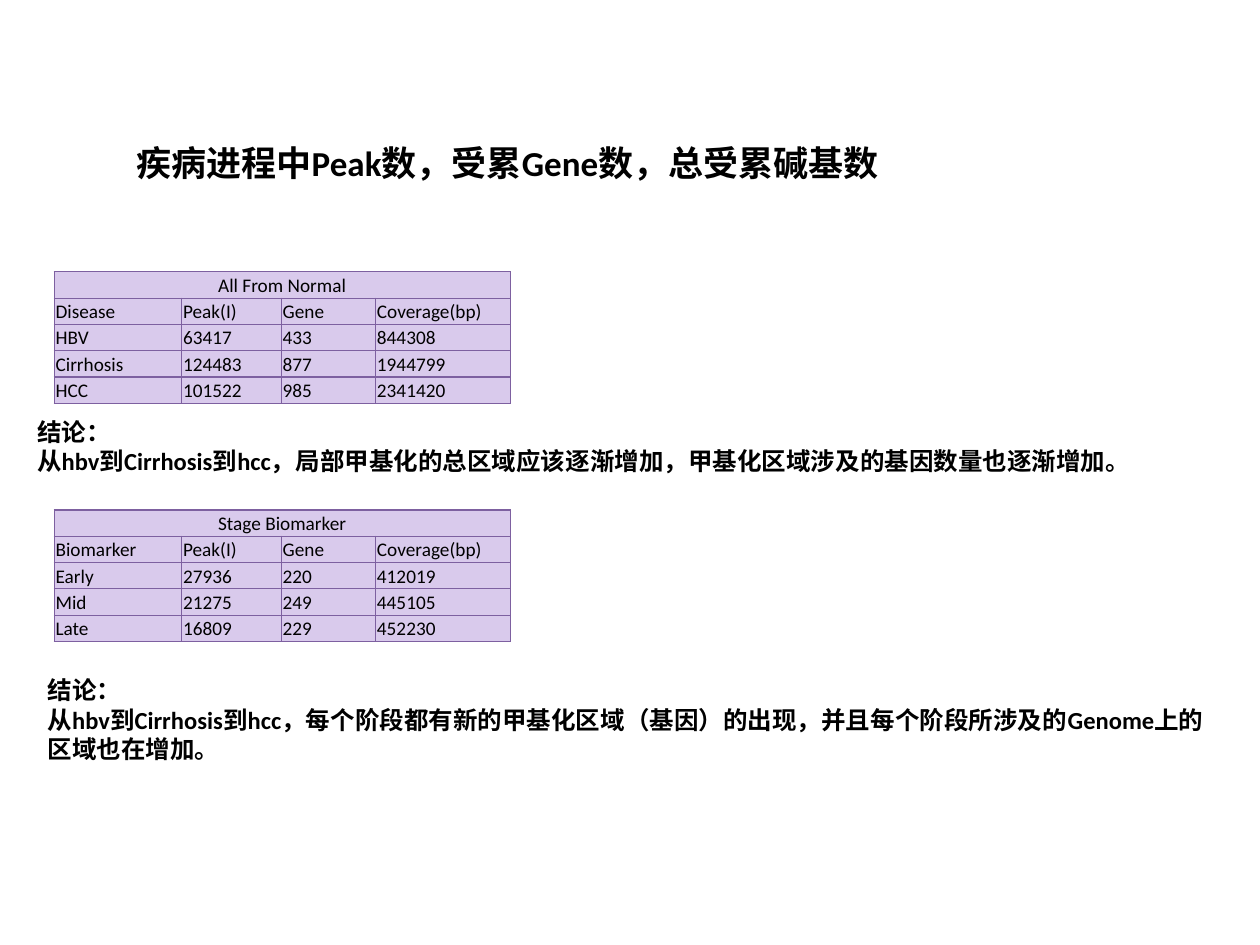
"""Build a slide of peak, gene and coverage counts across disease progression."""
from lxml import etree
from pptx import Presentation
from pptx.dml.color import RGBColor
from pptx.enum import text
from pptx.oxml import ns
from pptx.util import Cm, Pt

BLACK = RGBColor(0x00, 0x00, 0x00)
LAVENDER = RGBColor(0xD9, 0xCA, 0xEC)
PURPLE = RGBColor(0x7D, 0x60, 0xA0)

COLUMN_WIDTHS = [2.57, 2.01, 1.9, 2.72]
ROW_HEIGHT = 0.53
MEASURES = ["Peak(I)", "Gene", "Coverage(bp)"]

TABLES = [
    (5.48, [
        ["All From Normal", "", "", ""],
        ["Disease", *MEASURES],
        ["HBV", "63417", "433", "844308"],
        ["Cirrhosis", "124483", "877", "1944799"],
        ["HCC", "101522", "985", "2341420"],
    ]),
    (10.28, [
        ["Stage Biomarker", "", "", ""],
        ["Biomarker", *MEASURES],
        ["Early", "27936", "220", "412019"],
        ["Mid", "21275", "249", "445105"],
        ["Late", "16809", "229", "452230"],
    ]),
]

TEXTS = [
    (0.71, 13.49, 23.9, 2.64, 14, [
        "结论：",
        "从hbv到Cirrhosis到hcc，每个阶段都有新的甲基化区域（基因）的出现，"
        "并且每个阶段所涉及的Genome上的区域也在增加。",
    ]),
    (0.5, 8.28, 24.4, 1.45, 14, [
        "结论：",
        "从hbv到Cirrhosis到hcc，局部甲基化的总区域应该逐渐增加，"
        "甲基化区域涉及的基因数量也逐渐增加。",
    ]),
    (2.5, 2.72, 23.9, 1.12, 20, ["疾病进程中Peak数，受累Gene数，总受累碱基数"]),
]


def set_font(paragraph, size, bold):
    paragraph.font.name = "Calibri"
    paragraph.font.size = Pt(size)
    paragraph.font.bold = bold
    paragraph.font.color.rgb = BLACK


def set_borders(cell):
    properties = cell._tc.get_or_add_tcPr()
    for index, side in enumerate(["lnL", "lnR", "lnT", "lnB"]):
        line = etree.Element(ns.qn(f"a:{side}"), w=str(Pt(0.75)))
        fill = etree.SubElement(line, ns.qn("a:solidFill"))
        etree.SubElement(fill, ns.qn("a:srgbClr"), val=str(PURPLE))
        properties.insert(index, line)


deck = Presentation()
deck.slide_width, deck.slide_height = Cm(25.4), Cm(19.05)
page = deck.slides.add_slide(deck.slide_layouts[6])

for top, rows in TABLES:
    table = page.shapes.add_table(
        len(rows), len(COLUMN_WIDTHS), Cm(1.09), Cm(top),
        Cm(sum(COLUMN_WIDTHS)), Cm(ROW_HEIGHT * len(rows))).table
    for column, width in zip(table.columns, COLUMN_WIDTHS):
        column.width = Cm(width)
    for row_index, values in enumerate(rows):
        table.rows[row_index].height = Cm(ROW_HEIGHT)
        for column_index, value in enumerate(values):
            cell = table.cell(row_index, column_index)
            cell.text = value
            cell.vertical_anchor = text.MSO_ANCHOR.MIDDLE
            cell.margin_left = cell.margin_right = cell.margin_top = Cm(0.03)
            cell.margin_bottom = 0
            cell.fill.solid()
            cell.fill.fore_color.rgb = LAVENDER
            set_borders(cell)
            set_font(cell.text_frame.paragraphs[0], 11, False)
    title_cell = table.cell(0, 0)
    title_cell.merge(table.cell(0, len(COLUMN_WIDTHS) - 1))
    title_cell.text_frame.paragraphs[0].alignment = text.PP_ALIGN.CENTER

for left, top, width, height, size, lines in TEXTS:
    box = page.shapes.add_textbox(Cm(left), Cm(top), Cm(width), Cm(height))
    box.text_frame.word_wrap = True
    box.text_frame.text = "\n".join(lines)
    for paragraph in box.text_frame.paragraphs:
        set_font(paragraph, size, True)

deck.save("out.pptx")
